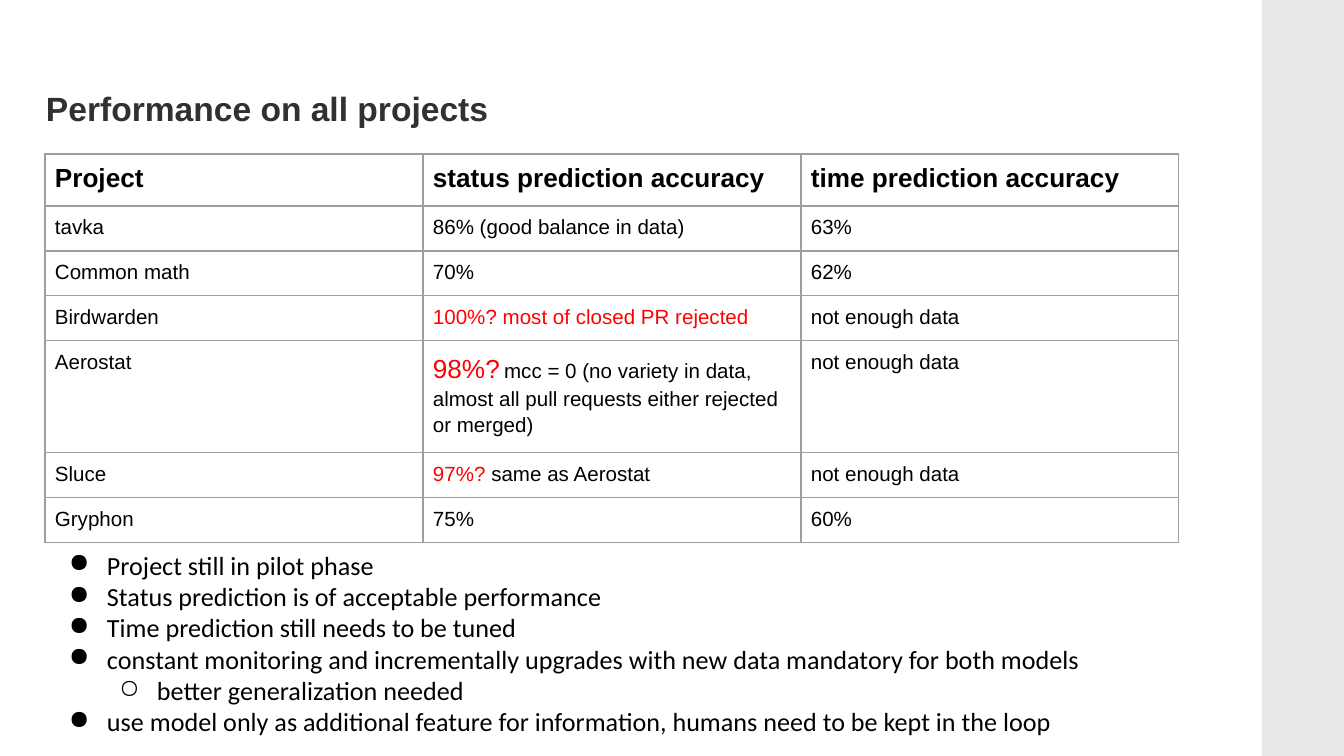
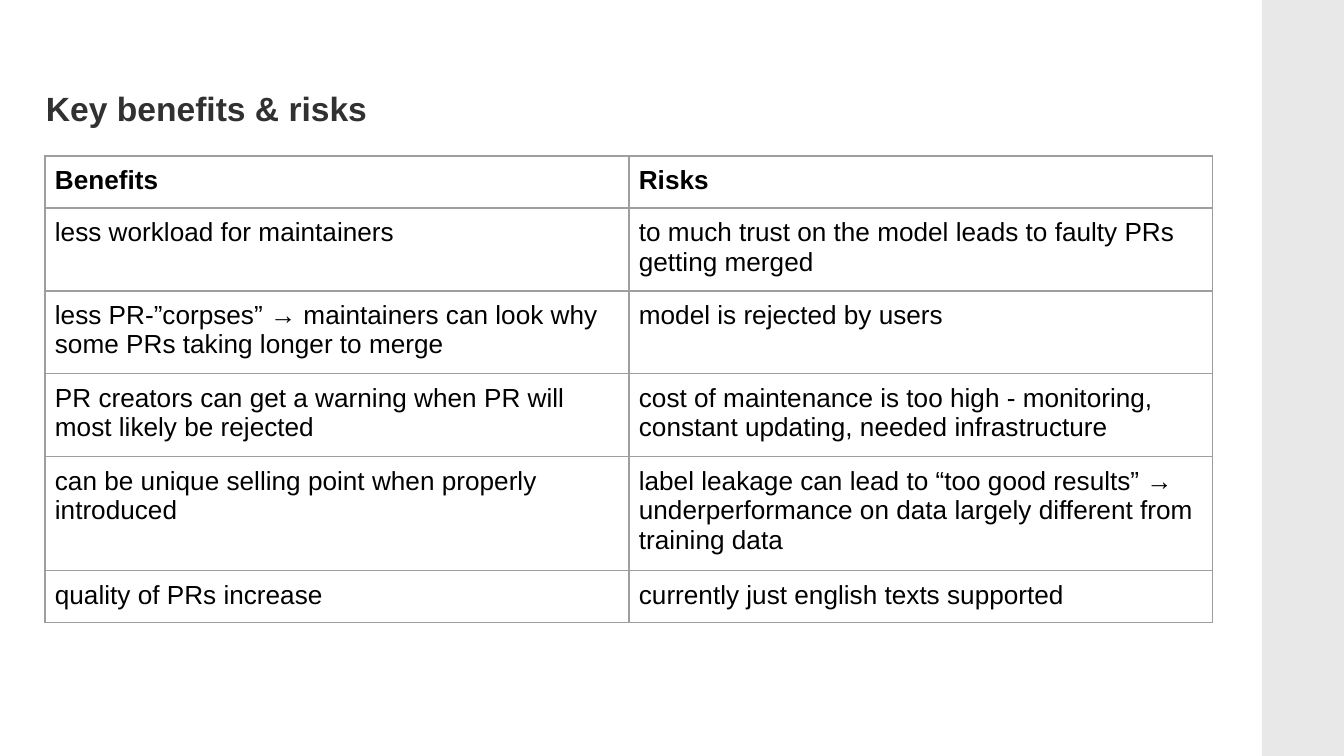
"""Build two slides: project performance, and key benefits and risks."""
from dataclasses import dataclass
from typing import Optional

from lxml.etree import SubElement
from pptx import Presentation
from pptx.dml.color import RGBColor
from pptx.enum.shapes import MSO_SHAPE
from pptx.enum.text import MSO_ANCHOR, PP_ALIGN as Align
from pptx.oxml import parse_xml
from pptx.oxml.ns import nsdecls, qn
from pptx.presentation import Presentation as Deck
from pptx.slide import Slide
from pptx.text.text import Font
from pptx.util import Emu, Pt

PX_PER_INCH = 134.4
SLIDE_WIDTH, SLIDE_HEIGHT = 1344, 756
LEFT = 45
BAND_LEFT = 1262
INSET = 10
BULLET_HANG = 38
BULLET_INDENTS = (51, 101)
BULLET_MARKS = ("●", "○")

BLACK = RGBColor(0x00, 0x00, 0x00)
RED = RGBColor(0xFF, 0x00, 0x00)
TITLE_GRAY = RGBColor(0x31, 0x31, 0x31)
BORDER_GRAY = RGBColor(0x9E, 0x9E, 0x9E)
BAND_ALPHA = 9000


@dataclass(frozen=True)
class Run:
    text: str
    size: Optional[int] = None
    color: Optional[RGBColor] = None


@dataclass(frozen=True)
class Cell:
    runs: tuple[Run, ...]
    line_spacing: Optional[float] = None


@dataclass(frozen=True)
class Grid:
    top: int
    column_width: int
    row_heights: tuple[int, ...]
    body_size: int
    rows: tuple[tuple[str | Cell, ...], ...]


@dataclass(frozen=True)
class Bullet:
    text: str
    level: int = 0


NO_DATA = "not enough data"
PERFORMANCE = Grid(
    top=154,
    column_width=378,
    row_heights=(52, 45, 45, 45, 112, 45, 45),
    body_size=11,
    rows=(
        ("Project", "status prediction accuracy", "time prediction accuracy"),
        ("tavka", "86% (good balance in data)", "63%"),
        ("Common math", "70%", "62%"),
        ("Birdwarden", Cell((Run("100%? most of closed PR rejected", color=RED),)), NO_DATA),
        (
            "Aerostat",
            Cell(
                (
                    Run("98%?", 14, RED),
                    Run(" ", 8),
                    Run("mcc = 0 (no variety in data, almost all pull requests "
                        "either rejected or merged)"),
                ),
                line_spacing=1.15,
            ),
            NO_DATA,
        ),
        ("Sluce", Cell((Run("97%?", color=RED), Run(" same as Aerostat"))), NO_DATA),
        ("Gryphon", "75%", "60%"),
    ),
)
BENEFITS_RISKS = Grid(
    top=156,
    column_width=584,
    row_heights=(52, 83, 83, 83, 114, 52),
    body_size=14,
    rows=(
        ("Benefits", "Risks"),
        ("less workload for maintainers",
         "to much trust on the model leads to faulty PRs getting merged"),
        ("less PR-”corpses” → maintainers can look why some PRs taking longer to merge",
         "model is rejected by users"),
        ("PR creators can get a warning when PR will most likely be rejected",
         "cost of maintenance is too high - monitoring, constant updating, "
         "needed infrastructure"),
        ("can be unique selling point when properly introduced",
         "label leakage can lead to “too good results” → underperformance on data "
         "largely different from training data"),
        ("quality of PRs increase", "currently just english texts supported"),
    ),
)
CONCLUSIONS = (
    Bullet("Project still in pilot phase"),
    Bullet("Status prediction is of acceptable performance"),
    Bullet("Time prediction still needs to be tuned"),
    Bullet("constant monitoring and incrementally upgrades with new data "
           "mandatory for both models"),
    Bullet("better generalization needed", level=1),
    Bullet("use model only as additional feature for information, "
           "humans need to be kept in the loop"),
)


def px(length: int) -> Emu:
    """Convert px to EMU."""
    return Emu(round(length * 914400 / PX_PER_INCH))


def set_font(font: Font, name: str, size: int, color: RGBColor, bold: bool = False) -> None:
    """Set the face, size, colour and weight of a font."""
    font.name = name
    font.size = Pt(size)
    font.color.rgb = color
    font.bold = bold


def set_insets(holder, inset: int) -> None:
    """Give a cell or text frame four equal margins."""
    for side in ("left", "top", "right", "bottom"):
        setattr(holder, f"margin_{side}", px(inset))


def add_band(slide: Slide) -> None:
    """Draw the translucent band behind everything at the right edge."""
    band = slide.shapes.add_shape(
        MSO_SHAPE.RECTANGLE, px(BAND_LEFT), 0, px(SLIDE_WIDTH - BAND_LEFT), px(SLIDE_HEIGHT)
    )
    band.shadow.inherit = False
    band.line.fill.background()
    band.fill.solid()
    band.fill.fore_color.rgb = BLACK
    color = band.fill._xPr.find(f"{qn('a:solidFill')}/{qn('a:srgbClr')}")
    SubElement(color, qn("a:alpha"), val=str(BAND_ALPHA))
    slide.shapes._spTree.insert(2, band._element)


def add_titled_slide(presentation: Deck, title: str) -> Slide:
    """Add a slide with the shared band and title style."""
    slide = presentation.slides.add_slide(presentation.slide_layouts[5])
    add_band(slide)
    shape = slide.shapes.title
    shape.left, shape.top, shape.width, shape.height = map(px, (46, 88, 1252, 40))
    frame = shape.text_frame
    set_insets(frame, 0)
    frame.vertical_anchor = MSO_ANCHOR.TOP
    frame.text = title
    paragraph = frame.paragraphs[0]
    paragraph.alignment = Align.LEFT
    set_font(paragraph.font, "Arial", 18, TITLE_GRAY, bold=True)
    return slide


def set_borders(cell) -> None:
    """Outline a table cell on all four sides."""
    properties = cell._tc.get_or_add_tcPr()
    for index, edge in enumerate(("lnL", "lnR", "lnT", "lnB")):
        line = parse_xml(
            f'<a:{edge} {nsdecls("a")} w="{Pt(0.75)}"><a:solidFill>'
            f'<a:srgbClr val="{BORDER_GRAY}"/></a:solidFill></a:{edge}>'
        )
        properties.insert(index, line)


def fill_cell(cell, content: str | Cell, size: int, bold: bool) -> None:
    """Write and format the content of a table cell."""
    if isinstance(content, str):
        content = Cell((Run(content),))
    set_insets(cell, INSET)
    cell.fill.background()
    set_borders(cell)
    paragraph = cell.text_frame.paragraphs[0]
    set_font(paragraph.font, "Arial", size, BLACK, bold)
    if content.line_spacing:
        paragraph.line_spacing = content.line_spacing
    for part in content.runs:
        run = paragraph.add_run()
        run.text = part.text
        if part.size:
            run.font.size = Pt(part.size)
        if part.color is not None:
            run.font.color.rgb = part.color


def add_grid(slide: Slide, grid: Grid) -> None:
    """Add a table with a bold heading row and thin borders."""
    column_count = len(grid.rows[0])
    table = slide.shapes.add_table(
        len(grid.rows), column_count, px(LEFT), px(grid.top),
        px(grid.column_width * column_count), px(sum(grid.row_heights)),
    ).table
    table.first_row = table.horz_banding = False
    for column in table.columns:
        column.width = px(grid.column_width)
    for row_index, contents in enumerate(grid.rows):
        heading = row_index == 0
        table.rows[row_index].height = px(grid.row_heights[row_index])
        for column_index, content in enumerate(contents):
            fill_cell(table.cell(row_index, column_index), content,
                      14 if heading else grid.body_size, heading)


def add_bullets(slide: Slide, bullets: tuple[Bullet, ...]) -> None:
    """Add the bulleted conclusions below the table."""
    frame = slide.shapes.add_textbox(*map(px, (46, 539, 1134, 204))).text_frame
    frame.word_wrap = True
    set_insets(frame, INSET)
    for index, bullet in enumerate(bullets):
        paragraph = frame.add_paragraph() if index else frame.paragraphs[0]
        paragraph.text = bullet.text
        paragraph.level = bullet.level
        set_font(paragraph.font, "Calibri", 14, BLACK)
        properties = paragraph._p.get_or_add_pPr()
        properties.set("marL", str(px(BULLET_INDENTS[bullet.level])))
        properties.set("indent", str(px(-BULLET_HANG)))
        mark = parse_xml(f'<a:buChar {nsdecls("a")} char="{BULLET_MARKS[bullet.level]}"/>')
        properties.insert(0, mark)


def main() -> None:
    """Build and save the presentation."""
    presentation = Presentation()
    presentation.slide_width, presentation.slide_height = px(SLIDE_WIDTH), px(SLIDE_HEIGHT)

    slide = add_titled_slide(presentation, "Performance on all projects")
    add_grid(slide, PERFORMANCE)
    add_bullets(slide, CONCLUSIONS)

    slide = add_titled_slide(presentation, "Key benefits & risks")
    add_grid(slide, BENEFITS_RISKS)

    presentation.save("out.pptx")


if __name__ == "__main__":
    main()
